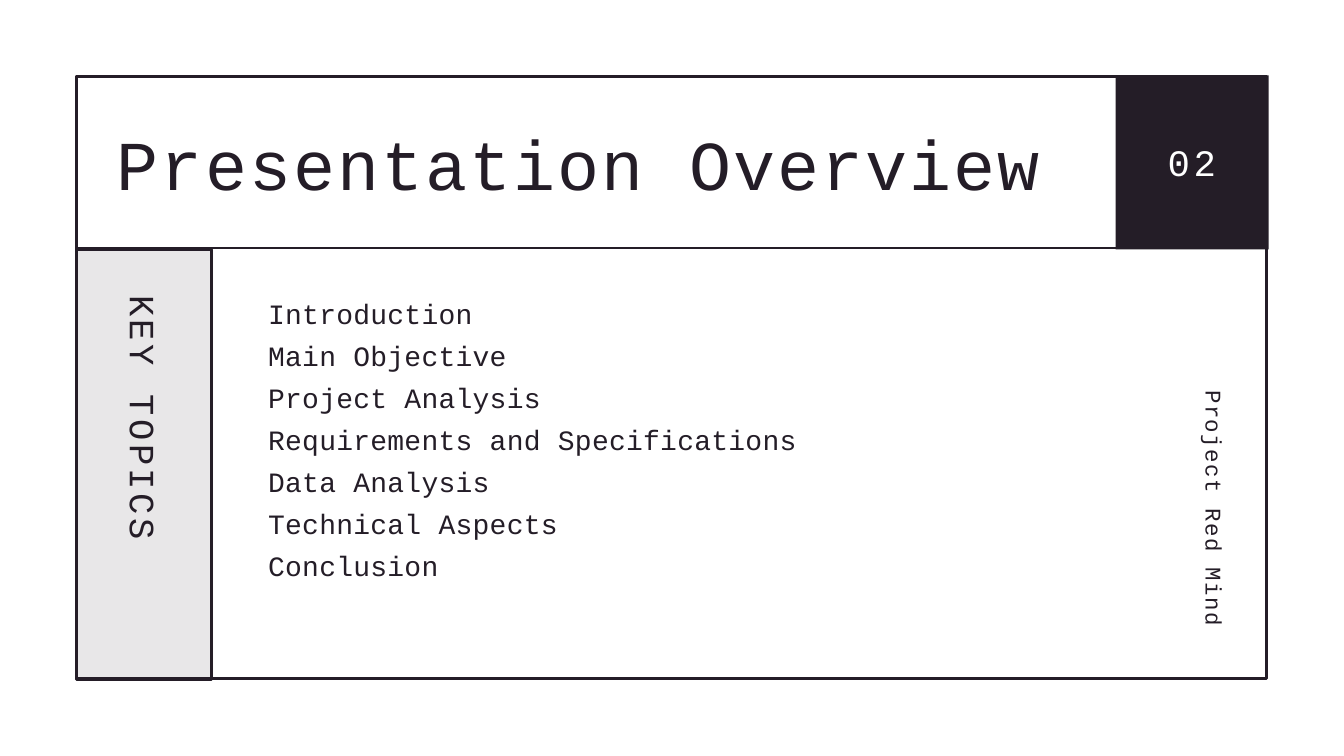
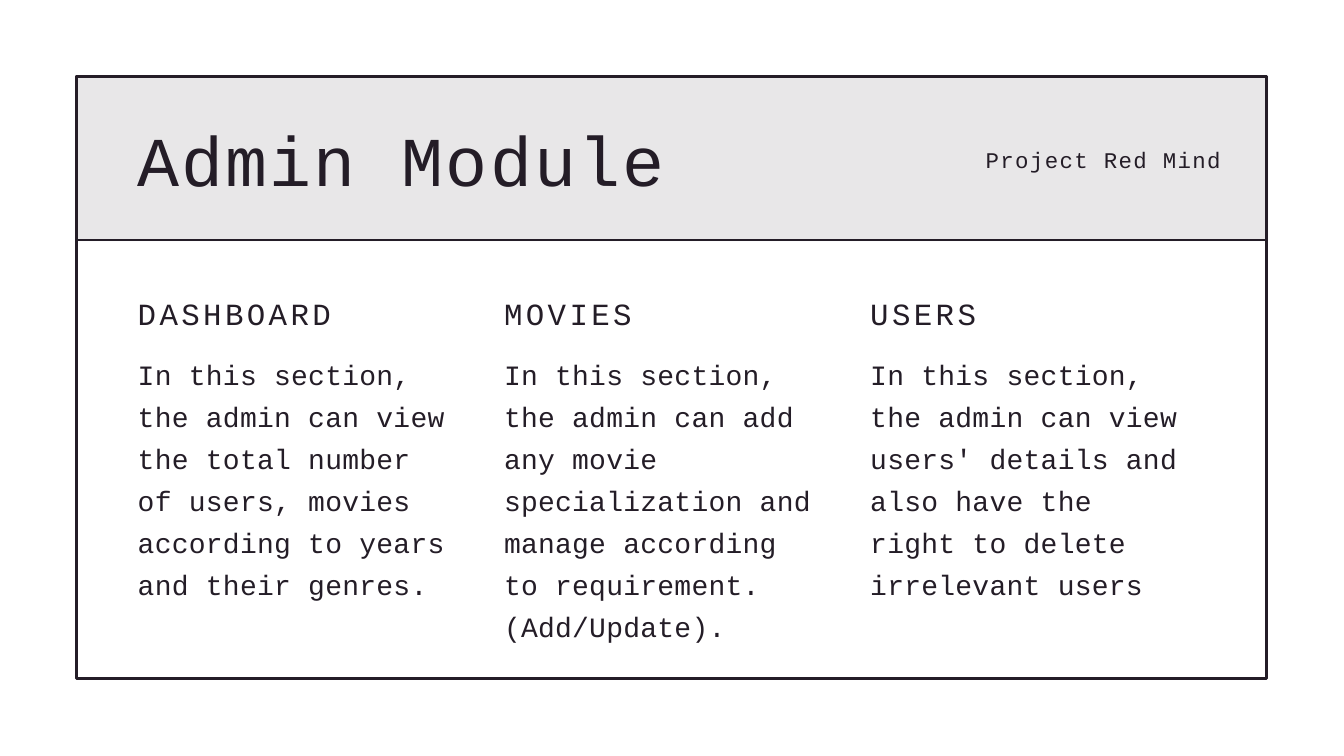
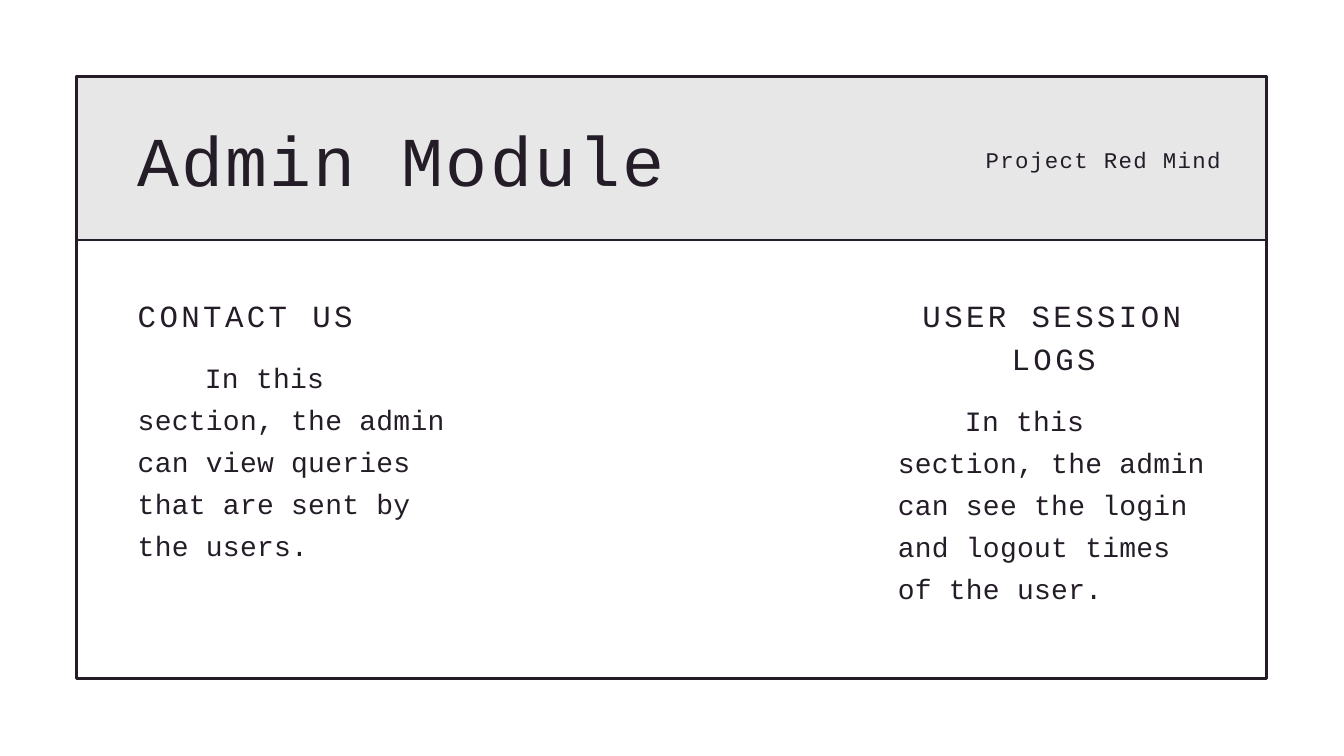
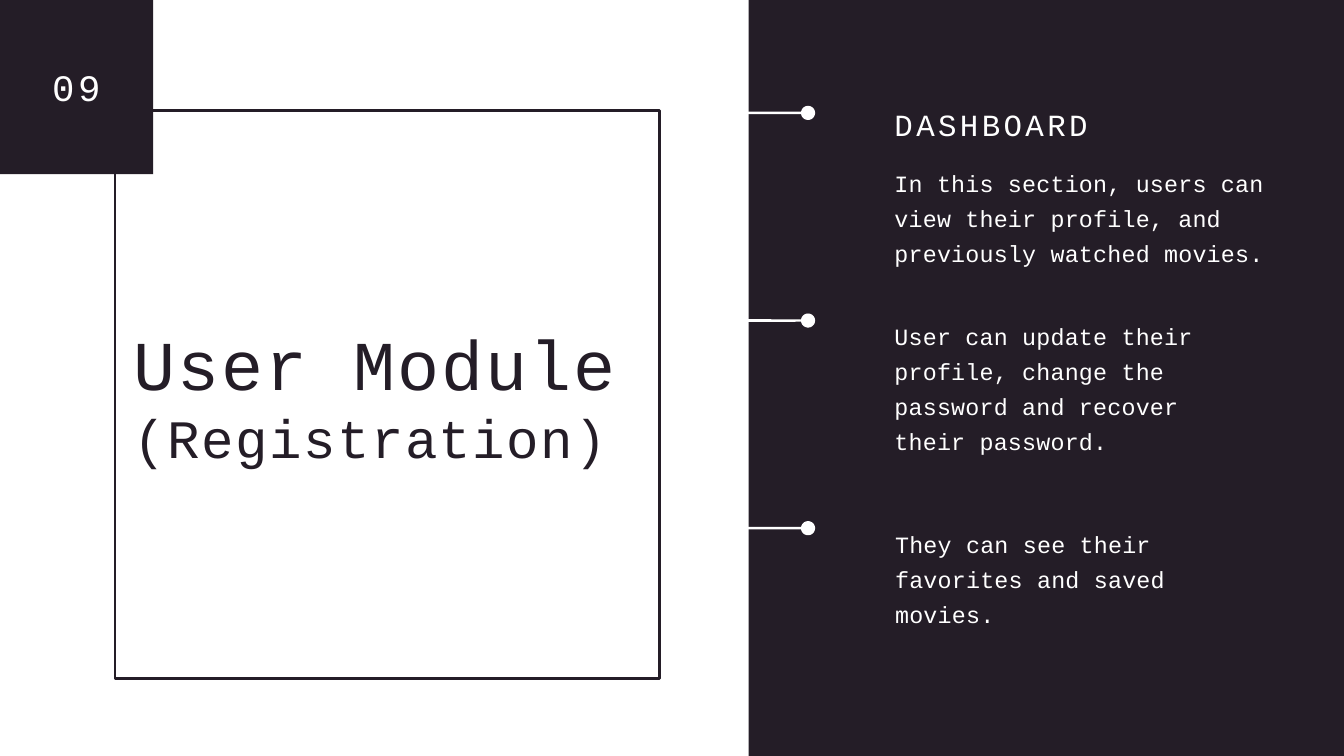
from math import cos, radians, sin

from pptx import Presentation
from pptx.dml.color import RGBColor
from pptx.enum.shapes import MSO_SHAPE
from pptx.enum.text import MSO_ANCHOR, MSO_AUTO_SIZE, PP_ALIGN
from pptx.oxml.ns import qn
from pptx.util import Inches, Pt
from lxml import etree

RECT = MSO_SHAPE.RECTANGLE
LEFT, MID, RIGHT = PP_ALIGN.LEFT, PP_ALIGN.CENTER, PP_ALIGN.RIGHT

# Shared look
INK, WHITE, FONT = "241D27", "FFFFFF", "Courier New"
RULE = 0.04  # thickness of frames and pins
FRAME = (1.12, 1.12, 17.75, 9)
BAND = (1.12, 1.12, 17.75, 2.47)
STYLES = {  # size, line height, letter spacing in points
    "title": (75, 90, 2.25),
    "sub": (58, 69.6, 1.74),
    "num": (40, 48, 4),
    "side": (38, 45.6, 3.8),
    "head": (33, 46.2, 3.63),
    "body": (30, 45, 0.3),
    "note": (25, 37.5, 0.25),
    "tag": (24, 33.6, 1.44),
}

# Content
TAG = "Project Red Mind"
TOPICS = [
    "Introduction",
    "Main Objective",
    "Project Analysis",
    "Requirements and Specifications",
    "Data Analysis",
    "Technical Aspects",
    "Conclusion",
]
ADMIN = "Admin Module"
PARTS = [
    ("DASHBOARD", "In this section, the admin can view the total number of users, "
     "movies according to years and their genres."),
    ("MOVIES", "In this section, the admin can add any movie specialization and "
     "manage according to requirement. (Add/Update)."),
    ("USERS", "In this section, the admin can view users' details and also have "
     "the right to delete irrelevant users"),
]
LOGS = [  # left, heading, heading lines, alignment, text
    (2.05, "CONTACT US", 1, LEFT,
     "In this section, the admin can view queries that are sent by the users."),
    (13.36, "USER SESSION LOGS", 2, MID,
     "In this section, the admin can see the login and logout times of the user."),
]
USER = ["User Module", ("(Registration)", "sub")]
NOTES = [  # left, top, width, text
    (13.31, 2.41, 5.81, "In this section, users can view their profile, and "
     "previously watched movies."),
    (13.31, 4.69, 5.19, "User can update their profile, change the password and "
     "recover their password."),
    (13.32, 7.79, 5.19, "They can see their favorites and saved movies."),
]


def color(code):
    return RGBColor.from_string(code)


def place(box):
    return [Inches(v) for v in box]


def write(slide, text, box, style="body", ink=INK, align=LEFT, turn=0,
          indent=0, shape=None):
    """Fill a new text box, or the given shape, with paragraphs."""
    shape = shape or slide.shapes.add_textbox(*place(box))
    shape.left, shape.top, shape.width, shape.height = place(box)
    shape.rotation = turn
    frame = shape.text_frame
    frame.word_wrap = True
    frame.auto_size = MSO_AUTO_SIZE.NONE
    frame.vertical_anchor = MSO_ANCHOR.TOP
    frame.margin_left = frame.margin_right = 0
    frame.margin_top = frame.margin_bottom = 0
    for i, item in enumerate(text if isinstance(text, list) else [text]):
        words, look = item if isinstance(item, tuple) else (item, style)
        size, lead, gap = STYLES[look]
        para = frame.add_paragraph() if i else frame.paragraphs[0]
        para.alignment, para.line_spacing = align, Pt(lead)
        para.space_before = para.space_after = Pt(0)
        if indent:
            para._p.get_or_add_pPr().set("indent", str(Inches(indent)))
        run = para.add_run()
        run.text = words
        run.font.name, run.font.size = FONT, Pt(size)
        run.font.color.rgb = color(ink)
        run._r.get_or_add_rPr().set("spc", str(round(gap * 100)))


def title(slide, text, box):
    write(slide, text, box, "title", shape=slide.shapes.title)


def paint(shape, fill):
    shape.shadow.inherit = False
    shape.fill.solid()
    shape.fill.fore_color.rgb = color(fill)
    shape.line.fill.background()


def block(slide, box, alpha=None):
    shape = slide.shapes.add_shape(RECT, *place(box))
    paint(shape, INK)
    if alpha:
        tone = shape._element.spPr.find(".//" + qn("a:srgbClr"))
        etree.SubElement(tone, qn("a:alpha")).set("val", str(alpha * 1000))


def outline(slide, box):
    """Draw an unfilled frame whose outer edge is the box."""
    x, y, w, h = box
    shape = slide.shapes.add_shape(
        RECT, *place((x + RULE / 2, y + RULE / 2, w - RULE, h - RULE)))
    shape.shadow.inherit = False
    shape.fill.background()
    shape.line.color.rgb = color(INK)
    shape.line.width = Inches(RULE)


def number(slide, text, x, y):
    block(slide, (x, y, 2.28, 2.59))
    write(slide, text, (x + 0.59, y + 0.95, 1.09, 0.67), "num", WHITE, MID)


def pin(slide, y):
    """Draw a bar that ends in a round dot, centred on y."""
    left, right, size = 10.86, 12.13, 0.21
    half = size / 2
    arc = [(right - half + half * cos(radians(a)), y + half * sin(radians(a)))
           for a in range(190, 531, 10)]
    points = [place(p) for p in arc + [(left, y + RULE / 2)]]
    pen = slide.shapes.build_freeform(Inches(left), Inches(y - RULE / 2))
    pen.add_line_segments(points, close=True)
    paint(pen.convert_to_shape(), WHITE)


def overview(slide):
    outline(slide, FRAME)
    outline(slide, (1.12, 1.12, 17.75, 2.59))
    title(slide, "Presentation Overview", (1.74, 1.79, 14.23, 1.25))
    number(slide, "02", 16.6, 1.12)
    # Side band
    outline(slide, (1.12, 3.69, 2.05, 6.44))
    block(slide, (1.12, 3.71, 2.05, 6.41), alpha=10)
    write(slide, "KEY TOPICS", (-0.31, 6.54, 4.92, 0.62), "side", turn=90)
    # Topics and tag
    write(slide, TOPICS, (3.99, 4.29, 11.14, 4.35))
    write(slide, TAG, (15.75, 6.72, 4.73, 0.45), "tag", align=RIGHT, turn=90)


def admin(slide):
    outline(slide, FRAME)
    block(slide, BAND, alpha=10)
    outline(slide, BAND)
    write(slide, TAG, (13.84, 2.11, 4.33, 0.45), "tag", align=RIGHT)
    title(slide, ADMIN, (2.05, 1.73, 10.9, 1.25))


def parts(slide):
    admin(slide)
    for i, (head, text) in enumerate(PARTS):
        x = 2.05 + i * 5.45
        wide = 4.82 if i == 1 else 4.64
        write(slide, head, (x, 4.29, wide, 0.61), "head")
        write(slide, text, (x, 5.2, wide, 4.33))


def logs(slide):
    admin(slide)
    for x, head, lines, align, text in LOGS:
        tall = 0.61 + (lines - 1) * 0.64
        write(slide, head, (x, 4.32, 4.64, tall), "head", align=align)
        write(slide, text, (x, 4.63 + tall, 4.64, 3.7), indent=1)


def user(slide):
    outline(slide, (1.69, 1.62, 8.14, 8.5))
    number(slide, "09", 0, 0)
    title(slide, USER, (1.98, 4.77, 7.55, 2.22))
    # Dark panel
    block(slide, (11.14, 0, 8.86, 11.25))
    write(slide, "DASHBOARD", (13.31, 1.48, 5.81, 0.61), "head", WHITE)
    for i, (x, y, wide, text) in enumerate(NOTES):
        write(slide, text, (x, y, wide, 2.04), "note", WHITE)
        pin(slide, 1.68 + i * 3.09)


def main():
    deck = Presentation()
    deck.slide_width, deck.slide_height = Inches(20), Inches(11.25)
    for build in (overview, parts, logs, user):
        build(deck.slides.add_slide(deck.slide_layouts[5]))
    deck.save("out.pptx")


if __name__ == "__main__":
    main()
